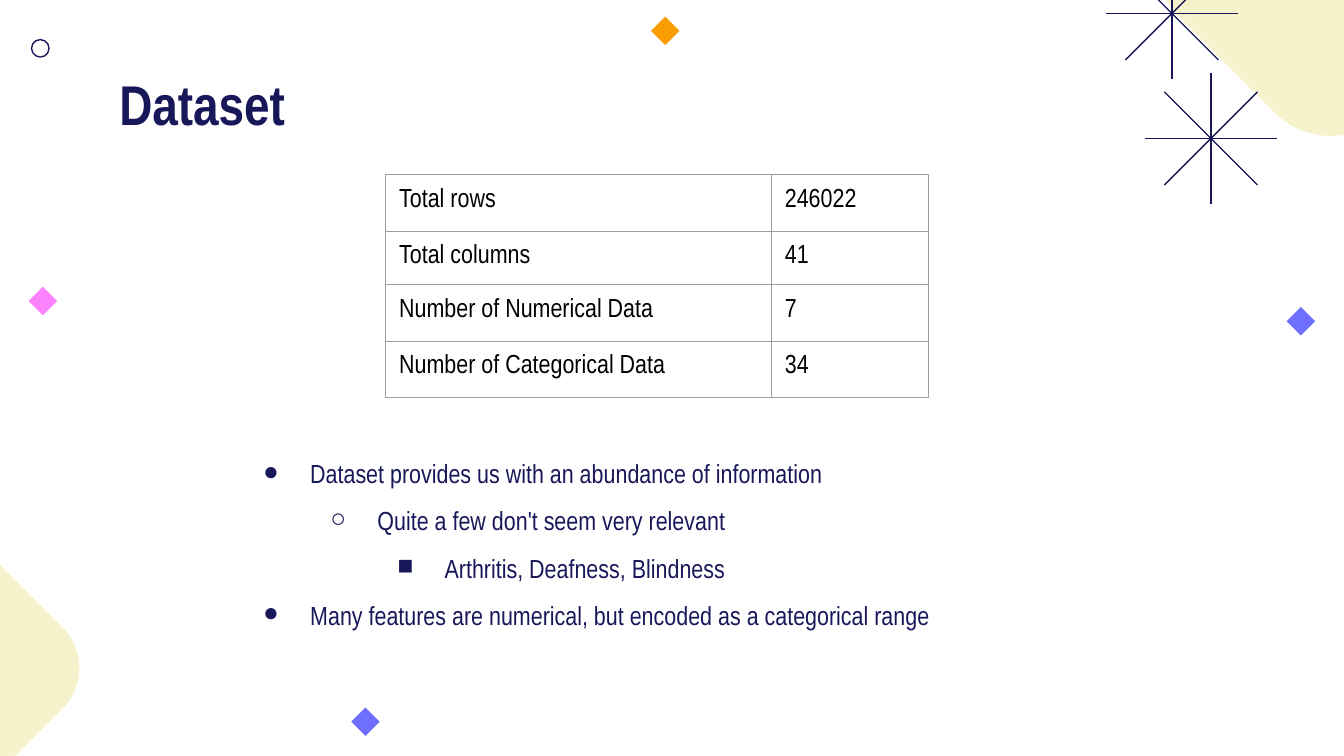
"""Builds the Dataset slide: a summary table, nested bullets and geometric decoration."""
import math

import lxml.etree
import pptx
import pptx.dml.color
import pptx.enum.shapes
import pptx.enum.text
import pptx.oxml.ns
import pptx.util

WIDTH = 10
HEIGHT = WIDTH * 9 / 16
FONT = "Arial Narrow"
NAVY, CREAM, GREY, BLACK = "17175A", "F6F2CC", "9E9E9E", "000000"
PINK, VIOLET, ORANGE = "FC81FD", "6E6FFF", "FA9D02"

ROWS = [
    ("Total rows", "246022"),
    ("Total columns", "41"),
    ("Number of Numerical Data", "7"),
    ("Number of Categorical Data", "34"),
]
COLUMN_WIDTHS = [2.87, 1.17]
ROW_HEIGHTS = [0.42, 0.4, 0.42, 0.42]
BULLETS = [
    (0, "Dataset provides us with an abundance of information"),
    (1, "Quite a few don't seem very relevant"),
    (2, "Arthritis, Deafness, Blindness"),
    (0, "Many features are numerical, but encoded as a categorical range"),
]
MARKS = "●○■"
BLOBS = [(9.9, -0.28, 2.17), (-0.35, 4.97, 1.58)]
STARS = [(8.72, 0.1), (9.01, 1.03)]
DIAMONDS = [(0.32, 2.24, PINK), (2.72, 5.37, VIOLET), (4.95, 0.23, ORANGE), (9.68, 2.39, VIOLET)]
STAR_RADIUS = 0.49

inches = pptx.util.Inches
SHAPES = pptx.enum.shapes.MSO_SHAPE
ANCHORS = pptx.enum.text.MSO_ANCHOR


def rgb(value):
    return pptx.dml.color.RGBColor.from_string(value)


def add_element(parent, tag, **attributes):
    return lxml.etree.SubElement(parent, pptx.oxml.ns.qn(tag), attributes)


def write(paragraph, text, size=14, color=NAVY, bold=False, level=None):
    if level is not None:
        properties = paragraph._p.get_or_add_pPr()
        properties.set("marL", str(inches(0.5 * (level + 1))))
        properties.set("indent", str(inches(-0.35)))
        paragraph.level = level
        paragraph.line_spacing = 1.5
        bullet_color = add_element(properties, "a:buClr")
        add_element(bullet_color, "a:srgbClr", val=color)
        add_element(properties, "a:buSzPts", val=str(size * 100))
        add_element(properties, "a:buFont", typeface=FONT)
        add_element(properties, "a:buChar", char=MARKS[level])
    run = paragraph.add_run()
    run.text = text
    run.font.name = FONT
    run.font.size = pptx.util.Pt(size)
    run.font.bold = bold
    run.font.color.rgb = rgb(color)


def set_margins(box, bottom=0.1):
    box.margin_left = box.margin_right = box.margin_top = inches(0.1)
    box.margin_bottom = inches(bottom)


def add_text_frame(slide, left, top, width, height, anchor=ANCHORS.TOP):
    frame = slide.shapes.add_textbox(*map(inches, (left, top, width, height))).text_frame
    frame.word_wrap = True
    frame.vertical_anchor = anchor
    set_margins(frame)
    return frame


def add_centered(slide, kind, x, y, size, fill=None, rotation=0):
    box = (x - size / 2, y - size / 2, size, size)
    shape = slide.shapes.add_shape(kind, *map(inches, box))
    shape.shadow.inherit = False
    shape.rotation = rotation
    if fill:
        shape.fill.solid()
        shape.fill.fore_color.rgb = rgb(fill)
        shape.line.fill.background()
    else:
        shape.fill.background()
        shape.line.color.rgb = rgb(NAVY)
        shape.line.width = pptx.util.Pt(0.75)
    return shape


def add_star(slide, x, y):
    for step in range(4):
        dx = STAR_RADIUS * math.cos(step * math.pi / 4)
        dy = STAR_RADIUS * math.sin(step * math.pi / 4)
        ray = slide.shapes.add_connector(
            pptx.enum.shapes.MSO_CONNECTOR.STRAIGHT,
            *map(inches, (x - dx, y - dy, x + dx, y + dy)))
        ray.line.color.rgb = rgb(NAVY)
        ray.line.width = pptx.util.Pt(0.75)
        add_element(ray._element.spPr, "a:effectLst")


def add_summary_table(slide, left, top):
    size = (sum(COLUMN_WIDTHS), sum(ROW_HEIGHTS))
    table = slide.shapes.add_table(
        len(ROWS), len(COLUMN_WIDTHS), *map(inches, (left, top, *size))).table
    table.first_row = table.horz_banding = False
    for column, width in zip(table.columns, COLUMN_WIDTHS):
        column.width = inches(width)
    for row, height, texts in zip(table.rows, ROW_HEIGHTS, ROWS):
        row.height = inches(height)
        for cell, text in zip(row.cells, texts):
            set_margins(cell, bottom=0.06)
            write(cell.text_frame.paragraphs[0], text, color=BLACK)
            properties = cell._tc.get_or_add_tcPr()
            for side in "LRTB":
                border = add_element(properties, f"a:ln{side}", w=str(pptx.util.Pt(0.75)))
                fill = add_element(border, "a:solidFill")
                add_element(fill, "a:srgbClr", val=GREY)
            cell.fill.background()


def main():
    presentation = pptx.Presentation()
    presentation.slide_width, presentation.slide_height = inches(WIDTH), inches(HEIGHT)
    slide = presentation.slides.add_slide(presentation.slide_layouts[6])

    for x, y, size in BLOBS:
        blob = add_centered(slide, SHAPES.ROUNDED_RECTANGLE, x, y, size, CREAM, 45)
        blob.adjustments[0] = 0.27
    for x, y in STARS:
        add_star(slide, x, y)
    for x, y, color in DIAMONDS:
        add_centered(slide, SHAPES.RECTANGLE, x, y, 0.15, color, 315)
    add_centered(slide, SHAPES.OVAL, 0.3, 0.36, 0.13)

    title = add_text_frame(slide, 0.79, 0.49, 8.43, 0.63, ANCHORS.BOTTOM)
    write(title.paragraphs[0], "Dataset", size=30, bold=True)
    add_summary_table(slide, 2.87, 1.3)
    body = add_text_frame(slide, 1.71, 3.19, 6.58, 1.56)
    for index, (level, text) in enumerate(BULLETS):
        paragraph = body.add_paragraph() if index else body.paragraphs[0]
        write(paragraph, text, level=level)
    presentation.save("out.pptx")


if __name__ == "__main__":
    main()
